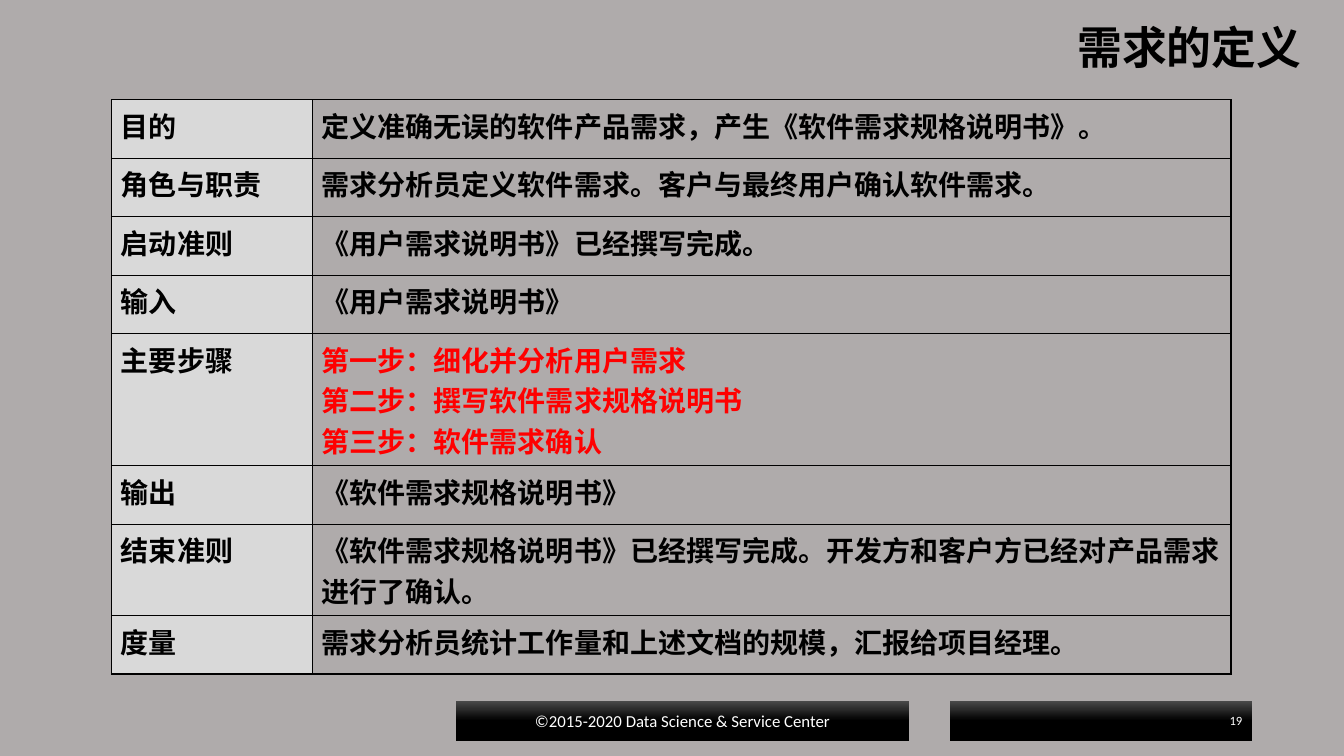
import pptx
import pptx.dml.color
import pptx.enum.shapes
import pptx.enum.text
import pptx.oxml
import pptx.oxml.ns
import pptx.util
from dataclasses import dataclass
from lxml import etree

TITLE = "需求的定义"
DEFINITION = [
    ("目的", ["定义准确无误的软件产品需求，产生《软件需求规格说明书》。"]),
    ("角色与职责", ["需求分析员定义软件需求。客户与最终用户确认软件需求。"]),
    ("启动准则", ["《用户需求说明书》已经撰写完成。"]),
    ("输入", ["《用户需求说明书》"]),
    ("主要步骤", ["第一步：细化并分析用户需求",
              "第二步：撰写软件需求规格说明书",
              "第三步：软件需求确认"]),
    ("输出", ["《软件需求规格说明书》"]),
    ("结束准则", ["《软件需求规格说明书》已经撰写完成。开发方和客户方已经对产品需求进行了确认。"]),
    ("度量", ["需求分析员统计工作量和上述文档的规模，汇报给项目经理。"]),
]
STEPS_LABEL = "主要步骤"
WRAPPED_LABEL = "结束准则"
COPYRIGHT = "©2015-2020 Data Science & Service Center"
PAGE_NUMBER = "19"

SLIDE_WIDTH, SLIDE_HEIGHT = 13.33, 7.5
TITLE_BOX = (1.71, 0.14, 11.3, 0.71)
TABLE_LEFT, TABLE_TOP = 1.11, 0.99
COLUMNS = (1.99, 9.11)
ROW_HEIGHT = 0.58
ROW_HEIGHTS = {STEPS_LABEL: 1.27, WRAPPED_LABEL: 0.63}
FOOTER_TOP, FOOTER_HEIGHT = 6.95, 0.4
COPYRIGHT_SPAN = (4.52, 4.5)
NUMBER_SPAN = (9.42, 3)
HANGING_INDENT = 0.49

Inches = pptx.util.Inches
Align = pptx.enum.text.PP_ALIGN
Anchor = pptx.enum.text.MSO_ANCHOR


@dataclass(frozen=True)
class Theme:
    background: str = "AFABAB"
    label_fill: str = "D9D9D9"
    ink: str = "000000"
    accent: str = "FF0000"
    footer_ink: str = "FFFFFF"
    footer_top: str = "4B4B4B"
    footer_base: str = "000000"
    heading_font: str = "Noto Sans CJK SC"
    footer_font: str = "Calibri"
    title_size: int = 32
    table_size: int = 20
    copyright_size: int = 12
    number_size: int = 9
    border_width: int = 1


THEME = Theme()


def rgb(value):
    return pptx.dml.color.RGBColor.from_string(value)


def add_run(paragraph, text, size, font_name, color, bold=False):
    run = paragraph.add_run()
    run.text = text
    font = run.font
    font.size = pptx.util.Pt(size)
    font.bold = bold
    font.color.rgb = rgb(color)
    font.name = font_name
    east_asian = etree.SubElement(run._r.get_or_add_rPr(), pptx.oxml.ns.qn("a:ea"))
    east_asian.set("typeface", font_name)


def add_borders(cell):
    properties = cell._tc.get_or_add_tcPr()
    for side in ("lnL", "lnR", "lnT", "lnB"):
        properties.append(pptx.oxml.parse_xml(
            f'<a:{side} {pptx.oxml.ns.nsdecls("a")} w="{pptx.util.Pt(THEME.border_width)}">'
            f'<a:solidFill><a:srgbClr val="{THEME.ink}"/></a:solidFill></a:{side}>'))


def fill_cell(cell, lines, color, fill=None, hanging=True):
    add_borders(cell)
    if fill:
        cell.fill.solid()
        cell.fill.fore_color.rgb = rgb(fill)
    else:
        cell.fill.background()
    cell.margin_left = cell.margin_right = Inches(0.09)
    cell.margin_top = cell.margin_bottom = Inches(0.05)
    for index, line in enumerate(lines):
        frame = cell.text_frame
        paragraph = frame.add_paragraph() if index else frame.paragraphs[0]
        if hanging:
            properties = paragraph._p.get_or_add_pPr()
            properties.set("marL", str(Inches(HANGING_INDENT)))
            properties.set("indent", str(-Inches(HANGING_INDENT)))
        add_run(paragraph, line, THEME.table_size, THEME.heading_font, color, bold=True)


def add_title(slide):
    title = slide.shapes.title
    title.left, title.top, title.width, title.height = map(Inches, TITLE_BOX)
    frame = title.text_frame
    frame.word_wrap = True
    frame.auto_size = pptx.enum.text.MSO_AUTO_SIZE.NONE
    frame.vertical_anchor = Anchor.MIDDLE
    paragraph = frame.paragraphs[0]
    paragraph.alignment = Align.RIGHT
    paragraph.line_spacing = 0.9
    add_run(paragraph, TITLE, THEME.title_size, THEME.heading_font, THEME.ink, bold=True)


def add_definition_table(slide):
    heights = [ROW_HEIGHTS.get(label, ROW_HEIGHT) for label, _ in DEFINITION]
    table = slide.shapes.add_table(
        len(DEFINITION), len(COLUMNS), Inches(TABLE_LEFT), Inches(TABLE_TOP),
        Inches(sum(COLUMNS)), Inches(sum(heights))).table
    table.first_row = table.horz_banding = False
    for column, width in zip(table.columns, COLUMNS):
        column.width = Inches(width)
    for row, height, (label, lines) in zip(table.rows, heights, DEFINITION):
        row.height = Inches(height)
        label_cell, content_cell = row.cells
        fill_cell(label_cell, [label], THEME.ink, THEME.label_fill)
        fill_cell(content_cell, lines,
                  THEME.accent if label == STEPS_LABEL else THEME.ink,
                  hanging=label != WRAPPED_LABEL)


def add_footer_bar(slide, span, text, size, alignment):
    left, width = span
    bar = slide.shapes.add_shape(
        pptx.enum.shapes.MSO_SHAPE.RECTANGLE, Inches(left), Inches(FOOTER_TOP),
        Inches(width), Inches(FOOTER_HEIGHT))
    bar.shadow.inherit = False
    bar.line.fill.background()
    bar.fill.gradient()
    bar.fill.gradient_angle = 270
    top_stop, base_stop = bar.fill.gradient_stops
    top_stop.position, base_stop.position = 0, 0.5
    top_stop.color.rgb = rgb(THEME.footer_top)
    base_stop.color.rgb = rgb(THEME.footer_base)
    frame = bar.text_frame
    frame.word_wrap = True
    frame.vertical_anchor = Anchor.MIDDLE
    paragraph = frame.paragraphs[0]
    paragraph.alignment = alignment
    add_run(paragraph, text, size, THEME.footer_font, THEME.footer_ink)


def main():
    presentation = pptx.Presentation()
    presentation.slide_width = Inches(SLIDE_WIDTH)
    presentation.slide_height = Inches(SLIDE_HEIGHT)
    title_only = presentation.slide_layouts.get_by_name("Title Only")
    slide = presentation.slides.add_slide(title_only)
    slide.background.fill.solid()
    slide.background.fill.fore_color.rgb = rgb(THEME.background)
    add_title(slide)
    add_definition_table(slide)
    add_footer_bar(slide, COPYRIGHT_SPAN, COPYRIGHT, THEME.copyright_size, Align.CENTER)
    add_footer_bar(slide, NUMBER_SPAN, PAGE_NUMBER, THEME.number_size, Align.RIGHT)
    presentation.save("out.pptx")


if __name__ == "__main__":
    main()
